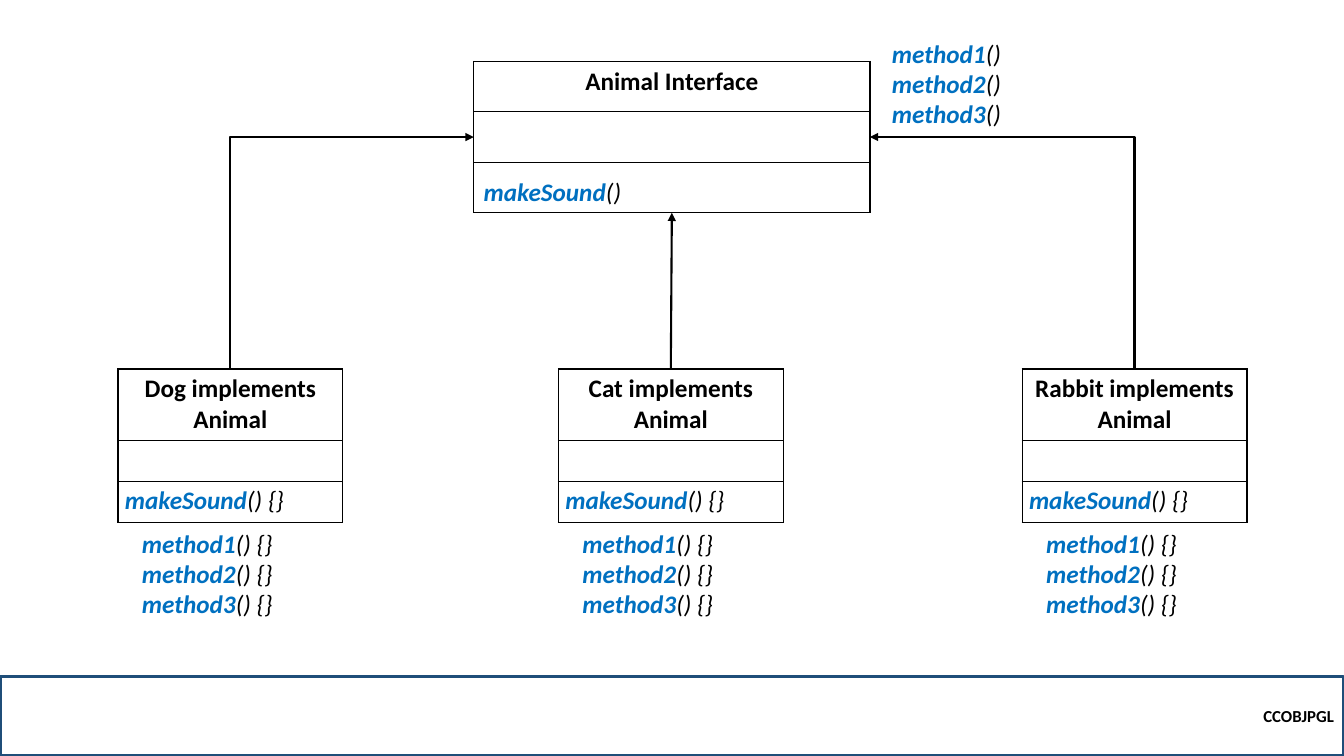
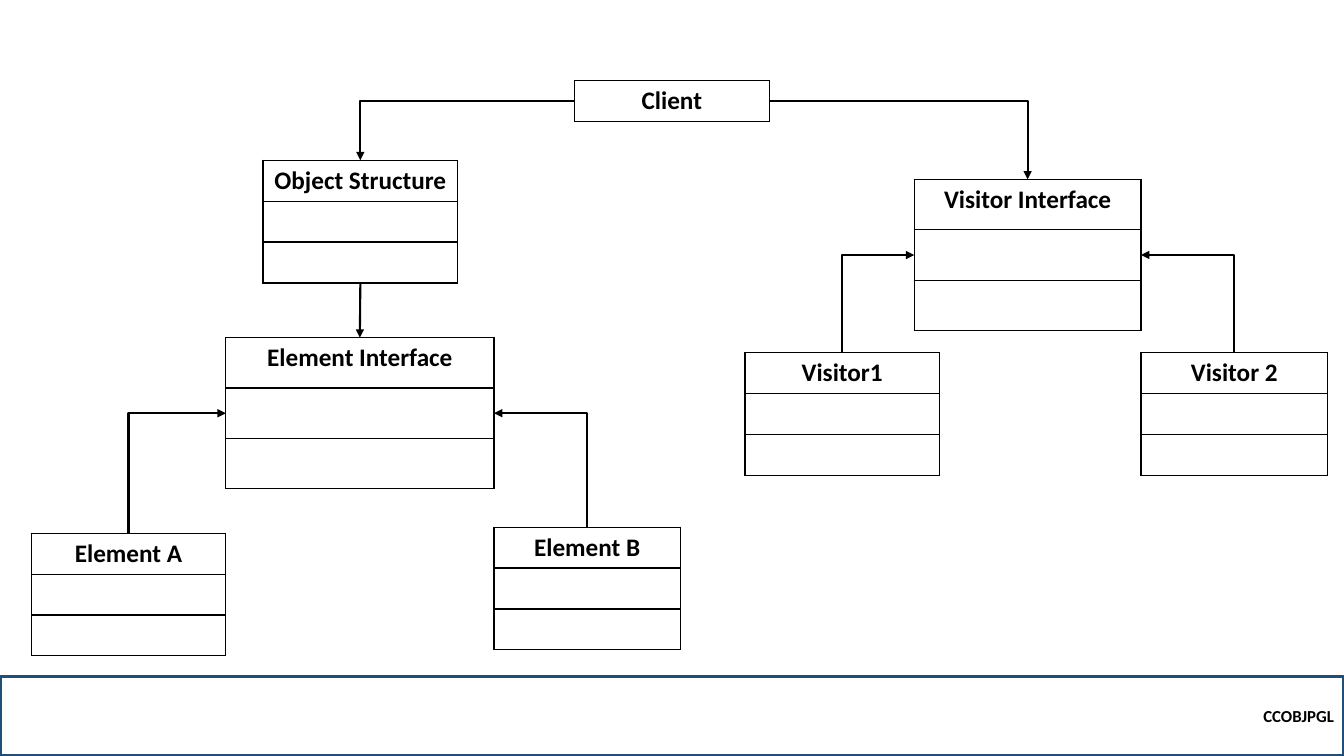
from dataclasses import dataclass

from lxml import etree
from pptx import Presentation
from pptx.dml.color import RGBColor
from pptx.enum.shapes import MSO_CONNECTOR, MSO_SHAPE
from pptx.enum.text import MSO_ANCHOR, PP_ALIGN
from pptx.oxml.ns import qn
from pptx.util import Inches, Pt

RECT = MSO_SHAPE.RECTANGLE
STRAIGHT, ELBOW = MSO_CONNECTOR.STRAIGHT, MSO_CONNECTOR.ELBOW
MIDDLE = MSO_ANCHOR.MIDDLE
CENTER, RIGHT = PP_ALIGN.CENTER, PP_ALIGN.RIGHT

BLACK = RGBColor(0x00, 0x00, 0x00)
BLUE = RGBColor(0x00, 0x70, 0xC0)
NAVY = RGBColor(0x1F, 0x4E, 0x79)
FONT = "Calibri"

# Grid: ten columns and ten rows to the inch
UNIT = Inches(0.1)
COLS, ROWS = 133.33, 75
BAND = 7.9

# Row heights of the box types
WIDE = (5, 5, 5)
TALL = (7.1, 4.05, 4.05)
SLIM = (4.05, 4.05, 4.05)
FLAT = (4.05,)

# Sides of a box, as connection sites
TOP, LEFT, BOTTOM, EAST = range(4)


@dataclass(frozen=True)
class Box:
    name: str
    left: float
    top: float
    width: float
    rows: tuple[float, ...]

    def site(self, side: int) -> tuple[float, float]:
        """Middle of one side, in grid units."""
        high = sum(self.rows)
        across, down = ((0.5, 0), (0, 0.5), (0.5, 1), (1, 0.5))[side]
        return self.left + across * self.width, self.top + down * high


@dataclass(frozen=True)
class Link:
    start: str
    leave: int
    end: str
    enter: int


@dataclass(frozen=True)
class Calls:
    left: float
    top: float
    names: tuple[str, ...]
    tail: str


def grid(*units: float) -> list[int]:
    return [round(unit * UNIT) for unit in units]


def style(run, size: int = 18, color: RGBColor = BLACK,
          bold: bool = True, italic: bool = False) -> None:
    font = run.font
    font.name, font.size = FONT, Pt(size)
    font.bold, font.italic = bold, italic
    font.color.rgb = color


def add_band(slide) -> None:
    band = slide.shapes.add_shape(RECT, *grid(0, ROWS - BAND, COLS, BAND))
    band.shadow.inherit = False
    band.fill.background()
    band.line.color.rgb, band.line.width = NAVY, Pt(2.25)
    frame = band.text_frame
    frame.text = "CCOBJPGL"
    frame.vertical_anchor = MIDDLE
    frame.paragraphs[0].alignment = RIGHT
    style(frame.paragraphs[0].runs[0], size=12)


def add_edges(cell) -> None:
    props = cell._tc.get_or_add_tcPr()
    for edge in ("a:lnL", "a:lnR", "a:lnT", "a:lnB"):
        line = etree.SubElement(props, qn(edge), w=str(Pt(1)))
        fill = etree.SubElement(line, qn("a:solidFill"))
        etree.SubElement(fill, qn("a:srgbClr"), val=str(BLACK))


def add_box(slide, box: Box):
    frame = slide.shapes.add_table(
        len(box.rows), 1,
        *grid(box.left, box.top, box.width, sum(box.rows)))
    table = frame.table
    table.first_row = table.horz_banding = False
    for row, high in zip(table.rows, box.rows):
        row.height = grid(high)[0]
        add_edges(row.cells[0])
        row.cells[0].fill.background()
    head = table.cell(0, 0).text_frame
    head.text = box.name
    head.paragraphs[0].alignment = CENTER
    style(head.paragraphs[0].runs[0])
    return frame


def add_elbow(slide, start: tuple, end: tuple, upright: bool):
    """One-corner line; an upright one first runs up from its start."""
    if not upright:
        line = slide.shapes.add_connector(ELBOW, *grid(*start, *end))
    else:
        # A quarter turn swaps the width and height around the centre
        (x, y), (u, v) = start, end
        midx, midy = (x + u) / 2, (y + v) / 2
        halfw, halfh = abs(y - v) / 2, abs(x - u) / 2
        line = slide.shapes.add_connector(
            ELBOW, *grid(midx - halfw, midy - halfh,
                         midx + halfw, midy + halfh))
        turn = line._element.spPr.xfrm
        turn.set("rot", str(270 * 60000))
        if u < x:
            turn.set("flipV", "1")
    line._element.spPr.find(qn("a:prstGeom")).set("prst", "bentConnector2")
    return line


def add_link(slide, link: Link, boxes: dict, frames: dict) -> None:
    start = boxes[link.start].site(link.leave)
    end = boxes[link.end].site(link.enter)
    if link.leave in (TOP, BOTTOM) and link.enter in (TOP, BOTTOM):
        line = slide.shapes.add_connector(STRAIGHT, *grid(*start, *end))
        line.begin_connect(frames[link.start], link.leave)
        line.end_connect(frames[link.end], link.enter)
    else:
        line = add_elbow(slide, start, end, link.leave == TOP)
    line.line.color.rgb, line.line.width = BLACK, Pt(1.5)
    props = line._element.spPr
    etree.SubElement(props.find(qn("a:ln")), qn("a:tailEnd"), type="triangle")
    etree.SubElement(props, qn("a:effectLst"))


def add_calls(slide, calls: Calls) -> None:
    high = 1 + 3 * len(calls.names)
    frame = slide.shapes.add_textbox(
        *grid(calls.left, calls.top, 19.5, high)).text_frame
    frame.word_wrap = True
    for i, name in enumerate(calls.names):
        para = frame.add_paragraph() if i else frame.paragraphs[0]
        para.text = name
        style(para.runs[0], color=BLUE, italic=True)
        tail = para.add_run()
        tail.text = calls.tail
        style(tail, bold=False, italic=True)


def add_page(deck, boxes: list[Box], links: list[Link],
             calls: list[Calls]) -> None:
    slide = deck.slides.add_slide(deck.slide_layouts[6])
    add_band(slide)
    frames = {box.name: add_box(slide, box) for box in boxes}
    named = {box.name: box for box in boxes}
    for link in links:
        add_link(slide, link, named, frames)
    for call in calls:
        add_calls(slide, call)


def add_animals(deck) -> None:
    base = Box("Animal Interface", 47, 6.1, 39.3, WIDE)
    kinds = [Box(f"{name} implements Animal", left, 36.6, 22.3, TALL)
             for name, left in (("Dog", 11.7), ("Cat", 55.4),
                                ("Rabbit", 101.4))]
    links = [Link(kind.name, TOP, base.name, side)
             for kind, side in zip(kinds, (LEFT, BOTTOM, EAST))]
    sound, methods = ("makeSound",), ("method1", "method2", "method3")
    calls = [Calls(base.left, 17, sound, "()"),
             Calls(87.5, 3.3, methods, "()")]
    for kind in kinds:
        calls += [Calls(kind.left - 0.3, 47.6, sound, "() {}"),
                  Calls(kind.left + 1.4, 51.9, methods, "() {}")]
    add_page(deck, [base, *kinds], links, calls)


def add_visitor(deck) -> None:
    boxes = [
        Box("Client", 57, 8, 19.3, FLAT),
        Box("Object Structure", 26.1, 15.9, 19.3, SLIM),
        Box("Element Interface", 22.4, 33.5, 26.6, WIDE),
        Box("Element A", 3.1, 52.9, 19.3, SLIM),
        Box("Element B", 49, 52.3, 18.5, SLIM),
        Box("Visitor Interface", 90.7, 17.8, 22.5, WIDE),
        Box("Visitor1", 73.9, 35, 19.3, SLIM),
        Box("Visitor 2", 113.2, 35, 18.5, SLIM),
    ]
    links = [
        Link("Client", LEFT, "Object Structure", TOP),
        Link("Client", EAST, "Visitor Interface", TOP),
        Link("Object Structure", BOTTOM, "Element Interface", TOP),
        Link("Element A", TOP, "Element Interface", LEFT),
        Link("Element B", TOP, "Element Interface", EAST),
        Link("Visitor1", TOP, "Visitor Interface", LEFT),
        Link("Visitor 2", TOP, "Visitor Interface", EAST),
    ]
    add_page(deck, boxes, links, [])


def main() -> None:
    deck = Presentation()
    deck.slide_width, deck.slide_height = grid(COLS, ROWS)
    add_animals(deck)
    add_visitor(deck)
    deck.save("out.pptx")


if __name__ == "__main__":
    main()
